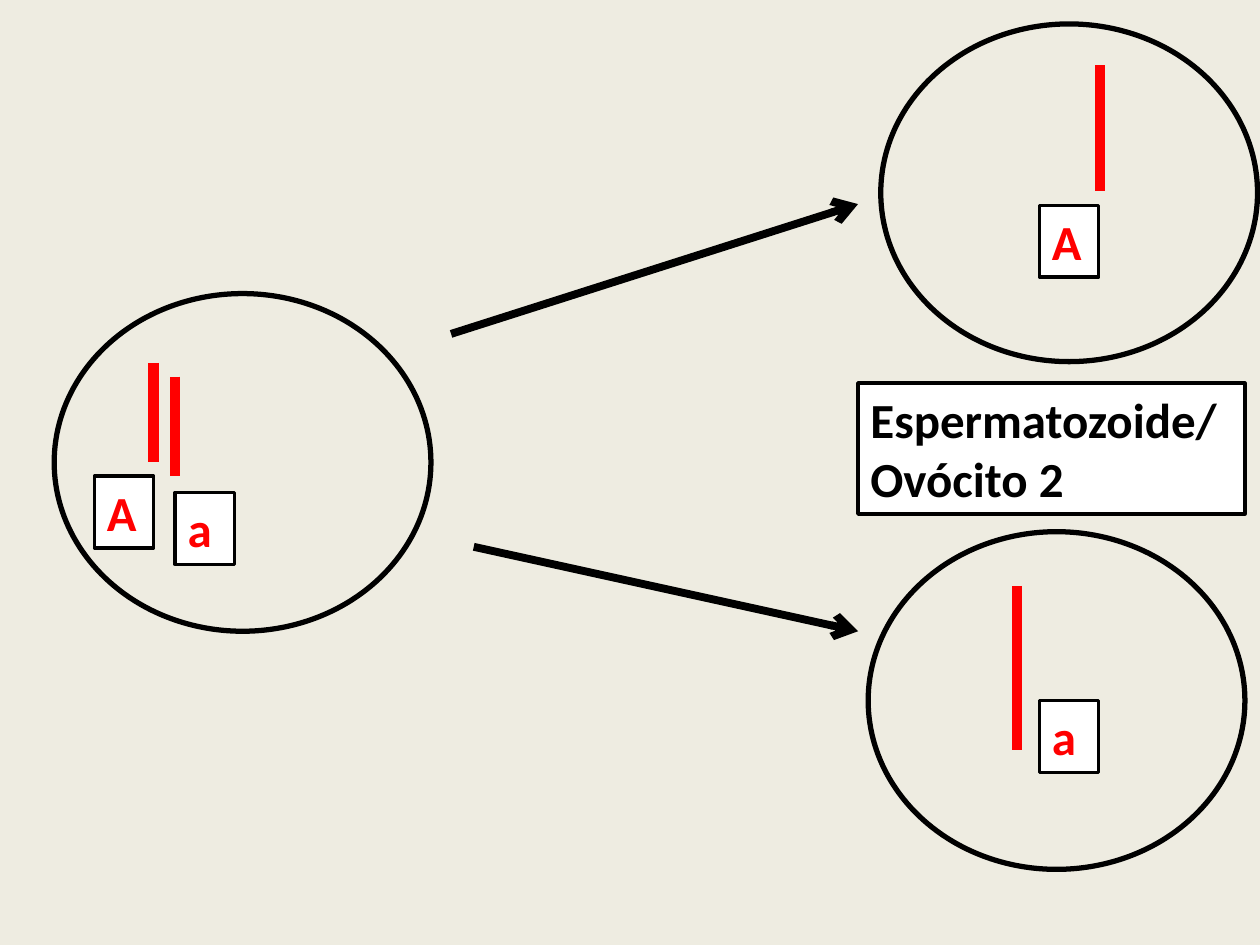
from pptx import Presentation
from pptx import util as u
from pptx.dml.color import RGBColor
from pptx.enum import shapes, text
from pptx.oxml.ns import qn
from lxml import etree

BLACK, RED, WHITE, BEIGE = "000000", "FF0000", "FFFFFF", "EEECE1"
CELL_SIZE = (2.99, 2.68)
ALLELE_SIZE = (0.47, 0.57)


def color(value):
    return RGBColor.from_string(value)


def write(shape, content, *, size=28, ink=BLACK, bold=True, font="Calibri"):
    frame = shape.text_frame
    frame.word_wrap = True
    frame.auto_size = text.MSO_AUTO_SIZE.SHAPE_TO_FIT_TEXT
    frame.vertical_anchor = text.MSO_ANCHOR.TOP
    para = frame.paragraphs[0]
    para.alignment = text.PP_ALIGN.LEFT
    span = para.add_run()
    span.text = content
    span.font.name, span.font.size, span.font.bold = font, u.Pt(size), bold
    span.font.color.rgb = color(ink)


class Diagram:
    def __init__(self, page):
        self.page = page
        page.background.fill.solid()
        page.background.fill.fore_color.rgb = color(BEIGE)

    def outline(self, kind, left, top, size, width):
        shape = self.page.shapes.add_shape(
            kind, *map(u.Inches, (left, top, *size)))
        shape.shadow.inherit = False
        shape.fill.background()
        shape.line.color.rgb = color(BLACK)
        shape.line.width = u.Pt(width)
        return shape

    def cell(self, left, top):
        self.outline(shapes.MSO_SHAPE.OVAL, left, top, CELL_SIZE, 3)

    def label(self, content, left, top, size=ALLELE_SIZE, ink=RED):
        box = self.outline(shapes.MSO_SHAPE.RECTANGLE, left, top, size, 2)
        box.fill.solid()
        box.fill.fore_color.rgb = color(WHITE)
        write(box, content, ink=ink)

    def line(self, start, end, ink, width):
        link = self.page.shapes.add_connector(
            shapes.MSO_CONNECTOR.STRAIGHT, *map(u.Inches, (*start, *end)))
        link.line.color.rgb = color(ink)
        link.line.width = u.Pt(width)
        etree.SubElement(link._element.spPr, qn("a:effectLst"))
        return link

    def chromosome(self, x, top, length):
        self.line((x, top), (x, top + length), RED, 6)

    def arrow(self, start, end):
        link = self.line(start, end, BLACK, 4.5)
        etree.SubElement(link.line._get_or_add_ln(), qn("a:tailEnd"),
                         type="arrow")


deck = Presentation()
deck.slide_width, deck.slide_height = u.Inches(10), u.Inches(7.5)
diagram = Diagram(deck.slides.add_slide(deck.slide_layouts[6]))

# Parent cell with both alleles
diagram.cell(0.43, 2.33)
diagram.chromosome(1.22, 2.88, 0.79)
diagram.chromosome(1.39, 2.99, 0.79)
diagram.label("A", 0.75, 3.78)
diagram.label("a", 1.39, 3.91)

# Division into two gametes
diagram.arrow((3.58, 2.65), (6.81, 1.62))
diagram.arrow((3.76, 4.34), (6.81, 5.01))

# Gametes: cell position, chromosome, allele, label top
for cell, chromosome, allele, label_top in (
        ((6.89, 4.22), (8.07, 4.65, 1.3), "a", 5.56),
        ((6.99, 0.19), (8.73, 0.52, 1.0), "A", 1.63)):
    diagram.cell(*cell)
    diagram.chromosome(*chromosome)
    diagram.label(allele, 8.25, label_top)

# Gamete name
diagram.label("Espermatozoide/Ovócito 2", 6.81, 3.04, (3.07, 1.04), BLACK)

deck.save("out.pptx")
